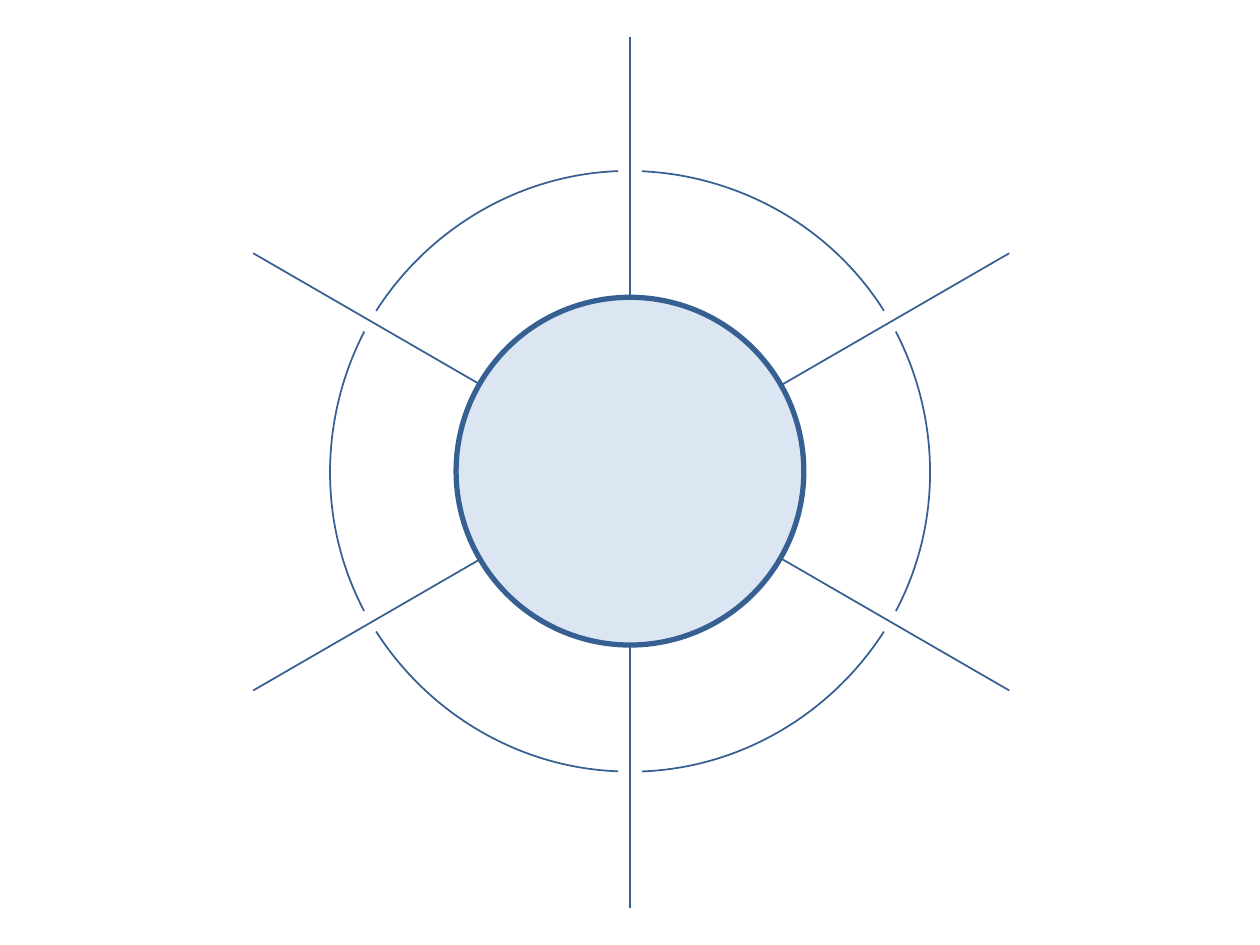
import math
from lxml import etree
from pptx import Presentation
from pptx.dml.color import RGBColor
from pptx.enum import shapes as kinds
from pptx.oxml import ns
from pptx.util import Inches, Pt

BLUE, PALE = "376092", "DCE6F2"

# Spoke ends inside the wheel box: from x, y to x, y
SPOKES = [(2.99, 0, 2.99, 6.92), (6, 1.72, 0, 5.19), (6, 5.19, 0, 1.72)]

# Ring arcs: compass angle, rotation, mirror
ARCS = [(150, 180, None), (-30, 0, None), (90, 120, None),
        (270, 240, "flipH"), (30, 60, None), (210, 0, "flipV")]
ARC_W, ARC_H = 1.92, 1.11
CURVE = [(0.41, 0.47), (1.12, 0.03), (ARC_W, 0)]


def color(code):
    return RGBColor.from_string(code)


def ink(shape, width):
    shape.line.color.rgb = color(BLUE)
    shape.line.width = Pt(width)


def add_spoke(slide, left, top, ends):
    x1, y1, x2, y2 = map(Inches, ends)
    line = slide.shapes.add_connector(
        kinds.MSO_CONNECTOR.STRAIGHT,
        left + x1, top + y1, left + x2, top + y2)
    ink(line, 1)
    etree.SubElement(line._element.spPr, ns.qn("a:effectLst"))


def bend(shape):
    """Turn the single straight segment into a Bezier curve."""
    line = next(shape._element.iter(ns.qn("a:lnTo")))
    curve = etree.Element(ns.qn("a:cubicBezTo"))
    for x, y in CURVE:
        etree.SubElement(curve, ns.qn("a:pt"),
                         x=str(Inches(x)), y=str(Inches(y)))
    line.getparent().replace(line, curve)


def add_arc(group, x, y, angle, turn, flip):
    """One arc, its box centred on the ring at the given angle."""
    radius, theta = Inches(2.11), math.radians(angle)
    wide, high = Inches(ARC_W), Inches(ARC_H)
    left = int(x + radius * math.sin(theta) - wide / 2)
    top = int(y - radius * math.cos(theta) - high / 2)
    pen = group.shapes.build_freeform(left, top + high)
    pen.add_line_segments([(left + wide, top)], close=False)
    arc = pen.convert_to_shape()
    bend(arc)
    arc.rotation = turn
    if flip:
        arc._element.spPr.xfrm.set(flip, "1")
    arc.fill.background()
    arc.shadow.inherit = False
    ink(arc, 1)


def add_hub(slide, left, top, size):
    hub = slide.shapes.add_shape(kinds.MSO_SHAPE.OVAL, left, top, size, size)
    hub.fill.solid()
    hub.fill.fore_color.rgb = color(PALE)
    hub.shadow.inherit = False
    ink(hub, 3)


def add_wheel(slide, left, top):
    # Spokes run right across
    for ends in SPOKES:
        add_spoke(slide, left, top, ends)

    # Broken ring
    ring = slide.shapes.add_group_shape()
    for arc in ARCS:
        add_arc(ring, left + Inches(2.99), top + Inches(3.45), *arc)

    # Hub covers the crossing
    add_hub(slide, left + Inches(1.61), top + Inches(2.07), Inches(2.76))


def main():
    deck = Presentation()
    deck.slide_width, deck.slide_height = Inches(10), Inches(7.5)
    slide = deck.slides.add_slide(deck.slide_layouts[6])
    add_wheel(slide, Inches(2.01), Inches(0.29))
    deck.save("out.pptx")


if __name__ == "__main__":
    main()
